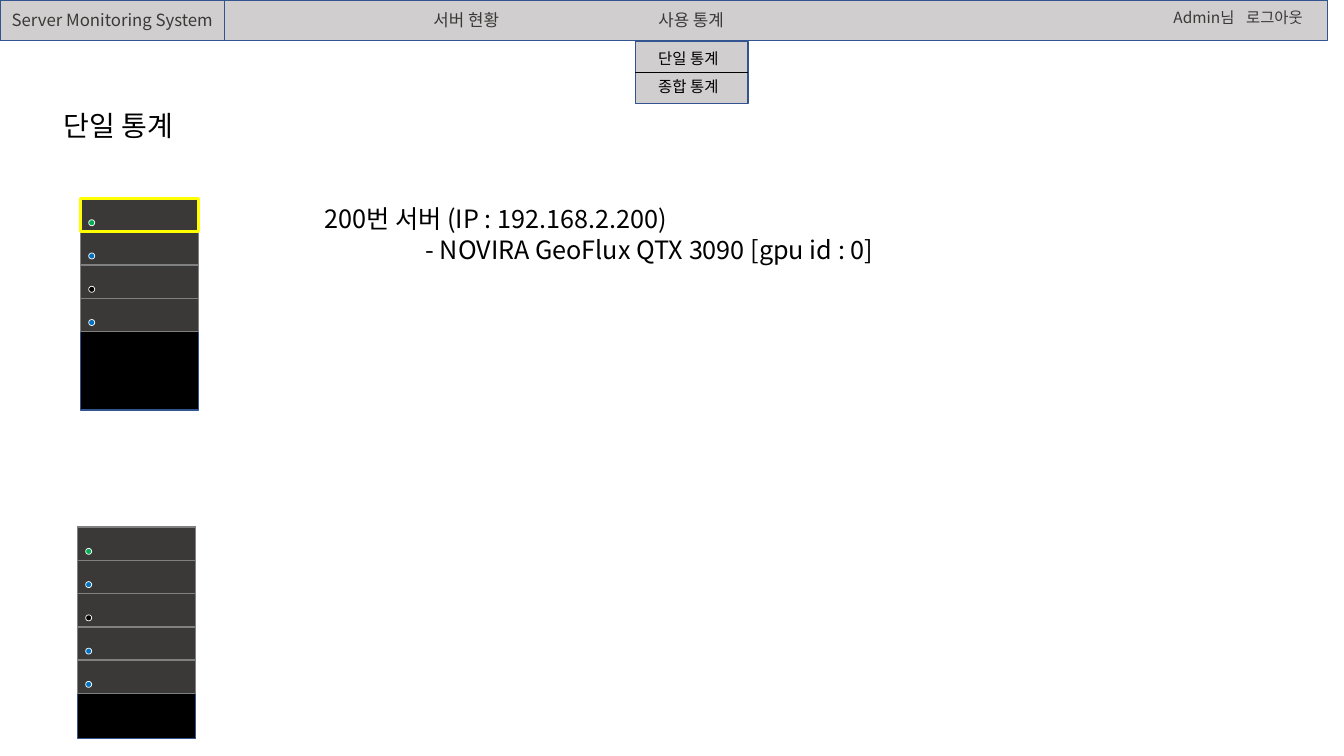
import pptx
import pptx.util
import pptx.dml.color
import pptx.enum.shapes
import pptx.enum.text
import pptx.oxml.ns
import lxml.etree

FONT = "Noto Sans CJK KR"
COLORS = {"black": "000000", "white": "FFFFFF", "gray": "D0CECE", "dark": "3B3838",
          "edge": "808080", "blue": "325491", "green": "00B050", "sky": "0070C0",
          "yellow": "FFFF00"}
SHAPES = pptx.enum.shapes.MSO_SHAPE
ALIGN = pptx.enum.text.PP_ALIGN
ANCHOR = pptx.enum.text.MSO_ANCHOR
Inches = pptx.util.Inches


def color(name):
    """Return the named color."""
    return pptx.dml.color.RGBColor.from_string(COLORS[name])


def child(parent, tag, **attrs):
    """Append a drawing element to a parent."""
    return lxml.etree.SubElement(parent, pptx.oxml.ns.qn(tag), attrs)


def place(shape, x, y, w, h):
    """Move a shape into a box."""
    shape.left, shape.top = Inches(x), Inches(y)
    shape.width, shape.height = Inches(w), Inches(h)


def draw(slide, kind, x, y, w, h, fill=None, line="blue", width=1):
    """Add a preset shape with a fill and an outline."""
    shape = slide.shapes.add_shape(kind, Inches(x), Inches(y), Inches(w), Inches(h))
    shape.shadow.inherit = False
    if fill:
        shape.fill.solid()
        shape.fill.fore_color.rgb = color(fill)
    else:
        shape.fill.background()
    shape.line.color.rgb = color(line)
    shape.line.width = pptx.util.Pt(width)
    return shape


def write(shape, text, size=12, ink="black", align=ALIGN.LEFT, anchor=ANCHOR.TOP):
    """Fill a shape with formatted lines of text."""
    frame = shape.text_frame
    frame.word_wrap = True
    frame.auto_size = pptx.enum.text.MSO_AUTO_SIZE.NONE
    frame.vertical_anchor = anchor
    frame.text = text
    for para in frame.paragraphs:
        para.alignment = align
        para.space_before = pptx.util.Pt(0)
        for run in para.runs:
            run.font.size = pptx.util.Pt(size)
            run.font.color.rgb = color(ink)
            run.font.name = FONT
            child(run.font._element, "a:ea", typeface=FONT)
    return frame


def label(slide, text, x, y, w, h, **style):
    """Add a text box with formatted text."""
    box = slide.shapes.add_textbox(Inches(x), Inches(y), Inches(w), Inches(h))
    return write(box, text, **style)


def rack(slide, x, y, w, h, lights, chosen=None):
    """Draw a server rack with one unit per status light."""
    unit = 0.33
    draw(slide, SHAPES.RECTANGLE, x, y, w, h, "black")
    for i, light in enumerate(lights):
        top = y + i * unit
        draw(slide, SHAPES.RECTANGLE, x, top, w, unit, "dark", "edge")
        draw(slide, SHAPES.OVAL, x + 0.08, top + 0.21, 0.06, 0.06, light, "white", 0.5)
    if chosen is not None:
        draw(slide, SHAPES.RECTANGLE, x, y + chosen * unit, w, unit, None, "yellow", 2)


def navbar(slide, x, y, w, h):
    """Draw the top bar with its name, tabs and user links."""
    tab = 2.23
    style = {"ink": "dark", "align": ALIGN.CENTER, "anchor": ANCHOR.MIDDLE}
    draw(slide, SHAPES.RECTANGLE, x, y, w, h, "gray")
    name = draw(slide, SHAPES.RECTANGLE, x, y, tab, h)
    write(name, "Server Monitoring System", **style)
    for i, text in enumerate(["서버 현황", "사용 통계"]):
        label(slide, text, x + 3.51 + i * tab, y, tab, h, **style)
    user = label(slide, "Admin님\t로그아웃", x + w - 1.63, y + 0.03, 1.58, 0.29,
                 size=11, ink="dark")
    tabs = child(user.paragraphs[0]._p.get_or_add_pPr(), "a:tabLst")
    child(tabs, "a:tab", pos=str(Inches(0.72)), algn="l")


def menu(slide, x, y, w, h):
    """Draw the open menu with its two entries."""
    mid = y + h / 2
    draw(slide, SHAPES.RECTANGLE, x, y, w, h, "gray")
    rule = slide.shapes.add_connector(pptx.enum.shapes.MSO_CONNECTOR.STRAIGHT, Inches(x),
                                      Inches(mid), Inches(x + w), Inches(mid))
    rule.line.color.rgb = color("black")
    rule.line.width = pptx.util.Pt(0.5)
    child(rule._element.spPr, "a:effectLst")
    for i, text in enumerate(["단일 통계", "종합 통계"]):
        label(slide, text, x + 0.13, y + 0.03 + i * 0.28, 1.54, 0.29, size=11)


def heading(slide, x, y, w, h):
    """Set the page title."""
    place(slide.shapes.title, x, y, w, h)
    write(slide.shapes.title, "단일 통계", size=20)


def detail(slide, x, y, w, h):
    """Set the chosen server and its indented device."""
    body = slide.placeholders[1]
    place(body, x, y, w, h)
    frame = write(body, "200번 서버 (IP : 192.168.2.200)\n"
                        "- NOVIRA GeoFlux QTX 3090 [gpu id : 0]", size=18)
    for i, para in enumerate(frame.paragraphs):
        props = para._p.get_or_add_pPr()
        props.set("marL", str(Inches(i)))
        props.set("indent", "0")
        child(props, "a:buNone")


def main():
    """Build and save the slide."""
    deck = pptx.Presentation()
    deck.slide_width, deck.slide_height = Inches(13.33), Inches(7.5)
    slide = deck.slides.add_slide(deck.slide_layouts[1])
    lights = ["green", "sky", "black", "sky"]
    rack(slide, 0.8, 1.97, 1.17, 2.1, lights, chosen=0)
    rack(slide, 0.77, 5.23, 1.17, 2.1, lights + ["sky"])
    navbar(slide, 0, 0, 13.17, 0.4)
    detail(slide, 3.12, 1.97, 5.72, 0.71)
    menu(slide, 6.3, 0.41, 1.12, 0.62)
    heading(slide, 0.53, 1.03, 1.54, 0.44)
    deck.save("out.pptx")


main()
